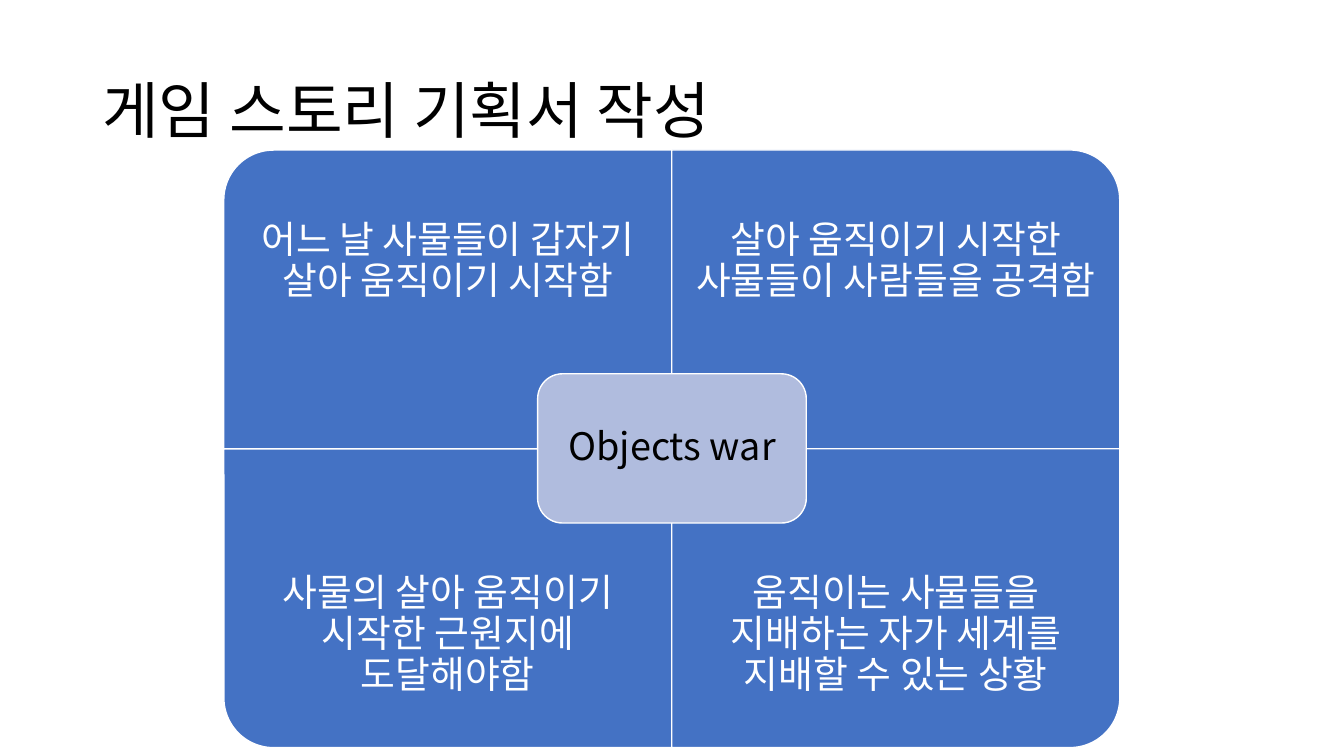
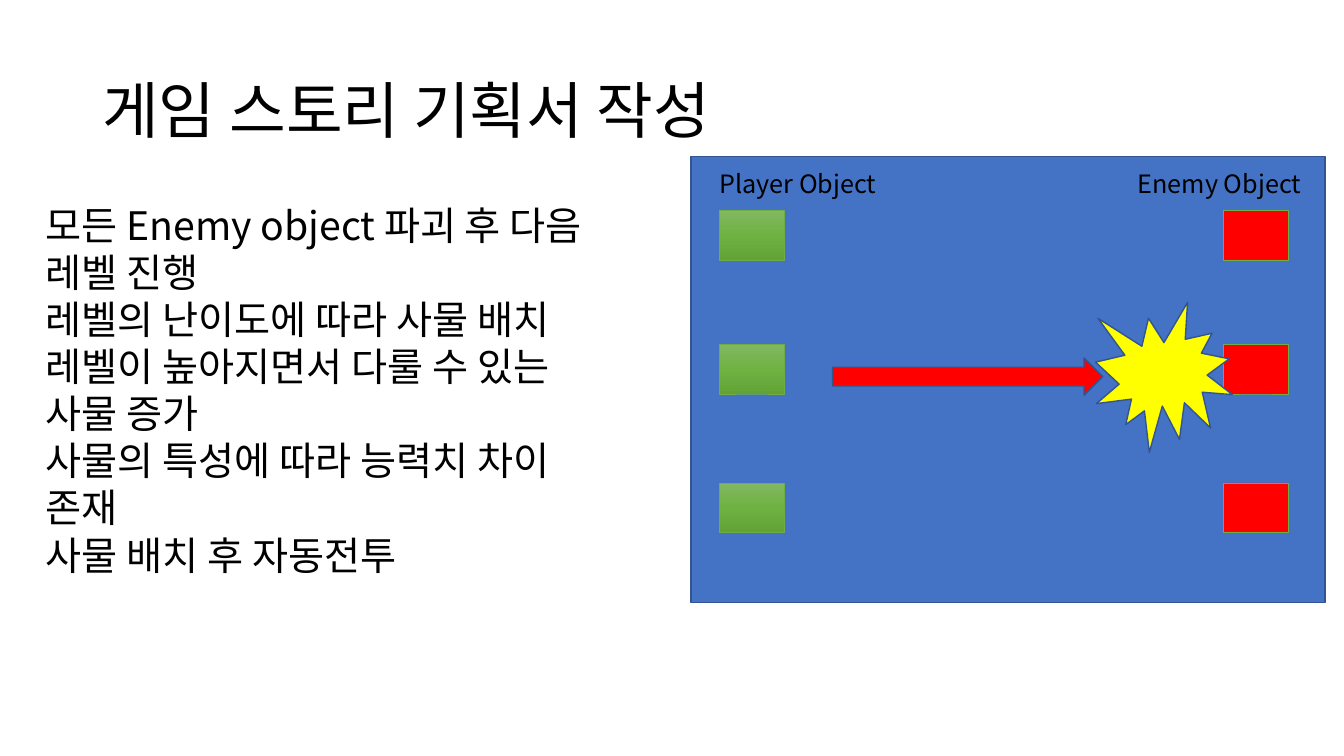
from copy import deepcopy
from lxml.etree import SubElement
from pptx import Presentation
from pptx.dml.color import RGBColor
from pptx.enum.shapes import MSO_SHAPE as Kind
from pptx.enum.text import MSO_ANCHOR as Anchor, PP_ALIGN as Align
from pptx.oxml.ns import qn
from pptx.util import Cm, Pt

FONT = "Noto Sans CJK KR"
BLUE, EDGE, WHITE, BLACK = "4472C4", "325491", "FFFFFF", "000000"
RED, GREEN = "FF0000", "70AD47"
hue = RGBColor.from_string


def say(slide, text, x, y, w, h, size=27, color=BLACK, align=Align.LEFT,
        anchor=Anchor.TOP, lead=1.0, pad=None):
    box = slide.shapes.add_textbox(Cm(x), Cm(y), Cm(w), Cm(h))
    frame = box.text_frame
    frame.word_wrap = True
    frame.vertical_anchor = anchor
    if pad is not None:
        frame.margin_left = frame.margin_right = Cm(pad)
        frame.margin_top = frame.margin_bottom = Cm(pad)
    frame.text = text
    for par in frame.paragraphs:
        par.alignment = align
        par.line_spacing = lead
        for run in par.runs:
            run.font.size = Pt(size)
            run.font.name = FONT
            run.font.color.rgb = hue(color)
            SubElement(run.font._element, qn("a:ea"), typeface=FONT)


def draw(slide, kind, x, y, w, h, fill, line, width=1, turn=0):
    if turn % 180:
        x, y, w, h = x + (w - h) / 2, y + (h - w) / 2, h, w
    form = slide.shapes.add_shape(kind, Cm(x), Cm(y), Cm(w), Cm(h))
    form.rotation = turn
    form.shadow.inherit = False
    form.fill.solid()
    form.fill.fore_color.rgb = hue(fill)
    form.line.color.rgb = hue(line)
    form.line.width = Pt(width)
    return form


deck = Presentation()
deck.slide_width, deck.slide_height = Cm(33.87), Cm(19.05)
story, fight = [deck.slides.add_slide(deck.slide_layouts[6]) for _ in range(2)]
for slide in (story, fight):
    say(slide, "게임 스토리 기획서 작성", 2.33, 1.02, 29.21, 3.68, size=44,
        anchor=Anchor.MIDDLE, lead=0.9)

left, top, wide, high = 5.64, 3.78, 11.29, 7.53
band = high * 0.75
mid = dict(align=Align.CENTER, anchor=Anchor.MIDDLE, lead=0.9)
plots = [
    ("어느 날 사물들이 갑자기 살아 움직이기 시작함", 270),
    ("살아 움직이기 시작한 사물들이 사람들을 공격함", 0),
    ("사물의 살아 움직이기 시작한 근원지에 도달해야함", 180),
    ("움직이는 사물들을 지배하는 자가 세계를 지배할 수 있는 상황", 90),
]
for i, (text, turn) in enumerate(plots):
    row, col = divmod(i, 2)
    x, y = left + col * wide, top + row * high
    draw(story, Kind.ROUND_1_RECTANGLE, x, y, wide, high, BLUE, WHITE, turn=turn)
    say(story, text, x, y + row * (high - band), wide, band, color=WHITE,
        pad=0.53, **mid)
core = 13.55, 9.42, 6.77, 3.76
draw(story, Kind.ROUNDED_RECTANGLE, *core, "B0BCDE", WHITE)
say(story, "Objects war", *core, pad=0.28, **mid)

rules = [
    "모든 Enemy object 파괴 후 다음 레벨 진행",
    "레벨의 난이도에 따라 사물 배치",
    "레벨이 높아지면서 다룰 수 있는 사물 증가",
    "사물의 특성에 따라 능력치 차이 존재",
    "사물 배치 후 자동전투",
]
say(fight, "\n".join(rules), 0.91, 4.95, 14.86, 13.41, size=28)
draw(fight, Kind.RECTANGLE, 17.41, 3.95, 15.98, 11.23, BLUE, EDGE)
shades = [(0, "81B861"), (0.5, "6FB242"), (1, "62A336")]
for y in (5.31, 8.69, 12.17):
    ally = draw(fight, Kind.RECTANGLE, 18.14, y, 1.63, 1.24, GREEN, GREEN, 0.5)
    ally.fill.gradient()
    ally.fill.gradient_angle = 270
    stops = ally._element.spPr.find(".//" + qn("a:gsLst"))
    stops.insert(1, deepcopy(stops[0]))
    for stop, (place, shade) in zip(ally.fill.gradient_stops, shades):
        stop.position = place
        stop.color.rgb = hue(shade)
    draw(fight, Kind.RECTANGLE, 30.84, y, 1.63, 1.24, RED, GREEN, 0.5)
for text, x in (("Player Object", 17.88), ("Enemy Object", 28.42)):
    say(fight, text, x, 4.11, 4.83, 1.02, size=18)
draw(fight, Kind.RIGHT_ARROW, 20.98, 9.02, 6.81, 0.94, RED, EDGE)
draw(fight, Kind.EXPLOSION1, 27.61, 7.62, 3.45, 3.78, "FFFF00", EDGE)

deck.save("out.pptx")
